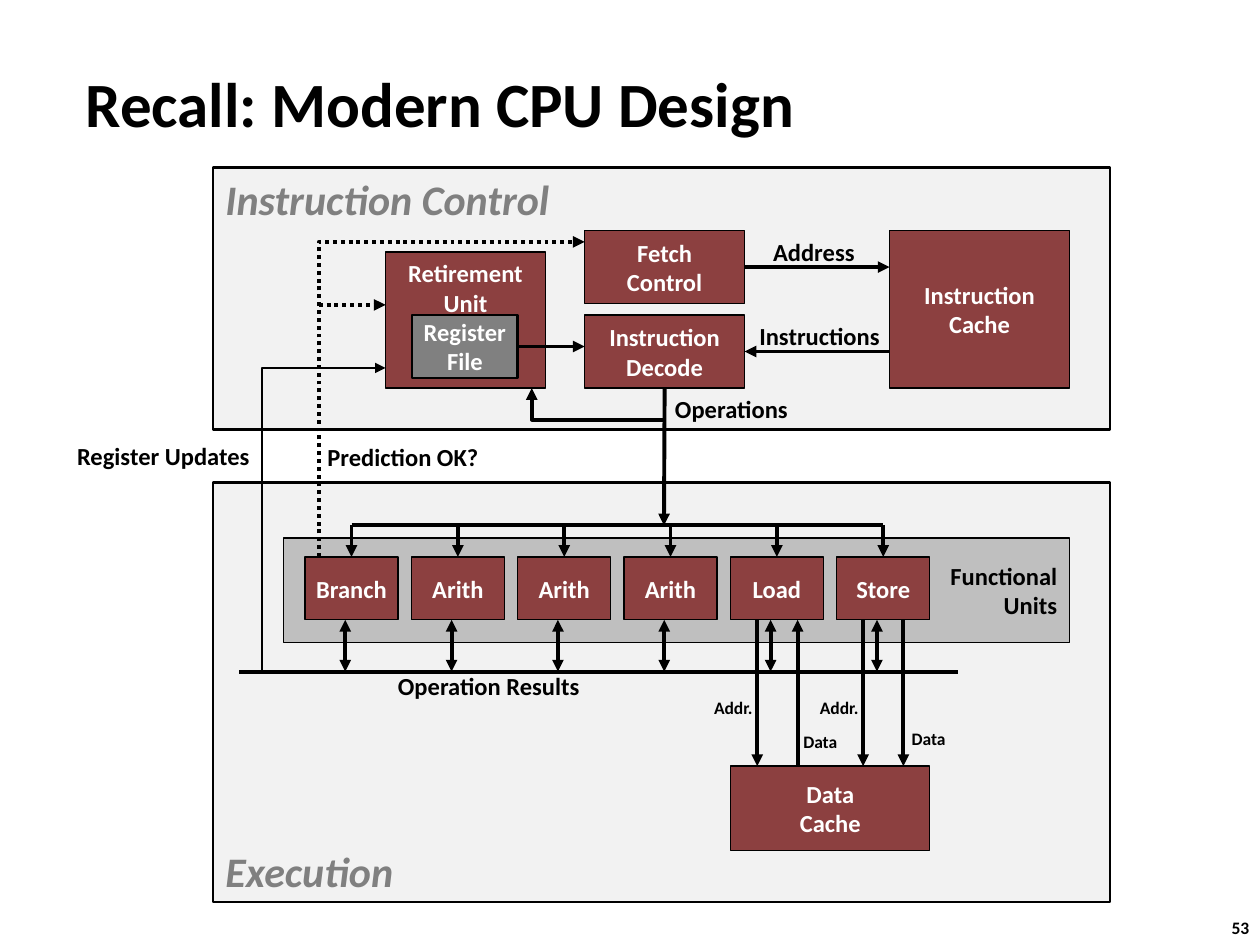
from dataclasses import dataclass
from lxml.etree import SubElement
from pptx import Presentation
from pptx.dml.color import RGBColor
from pptx.enum.dml import MSO_LINE
from pptx.enum.shapes import MSO_CONNECTOR, MSO_SHAPE
from pptx.enum.text import MSO_ANCHOR, MSO_AUTO_SIZE, PP_ALIGN
from pptx.oxml.ns import qn
from pptx.util import Inches, Pt


@dataclass(frozen=True)
class Theme:
    font: str = "Calibri"
    black: RGBColor = RGBColor(0, 0, 0)
    white: RGBColor = RGBColor(255, 255, 255)
    panel: RGBColor = RGBColor(0xF2, 0xF2, 0xF2)
    band: RGBColor = RGBColor(0xBF, 0xBF, 0xBF)
    gray: RGBColor = RGBColor(0x80, 0x80, 0x80)
    red: RGBColor = RGBColor(0x8C, 0x40, 0x40)
    title: int = 36
    head: int = 24
    body: int = 14
    small: int = 10


look = Theme()
deck = Presentation()
deck.slide_width, deck.slide_height = Inches(10), Inches(7.5)
slide = deck.slides.add_slide(deck.slide_layouts[5])
shapes = slide.shapes


def box(text, at, fill=None, ink=look.white, size=look.body, align=PP_ALIGN.CENTER,
        anchor=MSO_ANCHOR.MIDDLE, edge=0.75, wrap=False, italic=None):
    """Add a filled block, or a bare label when there is no fill."""
    place = [Inches(v) for v in at]
    if fill is None:
        shape = shapes.add_textbox(*place)
        shape.text_frame.auto_size = MSO_AUTO_SIZE.SHAPE_TO_FIT_TEXT
    else:
        shape = shapes.add_shape(MSO_SHAPE.RECTANGLE, *place)
        shape.shadow.inherit = False
        shape.fill.solid()
        shape.fill.fore_color.rgb = fill
        shape.line.color.rgb = look.black
        shape.line.width = Pt(edge)
    frame = shape.text_frame
    frame.text = text
    frame.word_wrap = wrap
    frame.vertical_anchor = anchor
    for para in frame.paragraphs:
        para.alignment = align
        font = para.font
        font.name, font.size = look.font, Pt(size)
        font.bold, font.italic = True, italic
        font.color.rgb = ink
    return shape


def wire(points, ends=("tailEnd",), width=2.25, dash=None):
    """Draw a straight connector, or an open path when there are bends."""
    spots = [(Inches(x), Inches(y)) for x, y in points]
    if len(spots) == 2:
        line = shapes.add_connector(MSO_CONNECTOR.STRAIGHT, *spots[0], *spots[1])
        SubElement(line._element.spPr, qn("a:effectLst"))
    else:
        path = shapes.build_freeform(*spots[0])
        path.add_line_segments(spots[1:], close=False)
        line = path.convert_to_shape()
        line.fill.background()
        line.shadow.inherit = False
    line.line.color.rgb = look.black
    line.line.width = Pt(width)
    if dash:
        line.line.dash_style = dash
    for end in ends:
        SubElement(line.line._get_or_add_ln(), qn(f"a:{end}"), type="triangle")
    return line


# Title
title = shapes.title
title.left, title.top = Inches(0.58), Inches(0.5)
title.width, title.height = Inches(6.41), Inches(0.63)
title.text_frame.text = "Recall: Modern CPU Design"
title.text_frame.vertical_anchor = MSO_ANCHOR.MIDDLE
para = title.text_frame.paragraphs[0]
para.alignment = PP_ALIGN.LEFT
para.font.name, para.font.size, para.font.bold = look.font, Pt(look.title), True
para.font.color.rgb = look.black

# Panels
for text, top, height, anchor in [
    ("Execution", 3.83, 3.33, MSO_ANCHOR.BOTTOM),
    ("Instruction Control", 1.33, 2.08, MSO_ANCHOR.TOP),
]:
    box(text, (1.69, top, 7.12, height), look.panel, look.gray, look.head,
        PP_ALIGN.LEFT, anchor, edge=1.5, wrap=True, italic=True)
box("Functional\nUnits", (2.25, 4.27, 6.24, 0.83), look.band, look.black,
    align=PP_ALIGN.RIGHT, wrap=True)

# Control blocks and data cache
cache = box("Instruction\nCache", (7.06, 1.83, 1.43, 1.25), look.red)
fetch = box("Fetch\nControl", (4.64, 1.83, 1.27, 0.58), look.red)
decode = box("Instruction\nDecode", (4.64, 2.5, 1.27, 0.58), look.red)
box("Retirement\nUnit", (3.06, 2, 1.27, 1.08), look.red, anchor=MSO_ANCHOR.TOP)
file = box("Register\nFile", (3.27, 2.5, 0.84, 0.5), look.gray, edge=1.5)
box("Data\nCache", (5.8, 6.08, 1.58, 0.67), look.red)

# Functional units, fed from one bus and drained to another
units = ["Branch", "Arith", "Arith", "Arith", "Load", "Store"]
first, last, wide = 2.42, 6.64, 0.74
step = (last - first) / (len(units) - 1)
for i, name in enumerate(units):
    left = first + i * step
    mid = left + wide / 2
    unit = box(name, (left, 4.42, wide, 0.5), look.red)
    wire([(mid, 4.17), (mid, 4.42)]).end_connect(unit, 0)
    wire([(mid - 0.05, 4.92), (mid - 0.05, 5.33)], ("headEnd", "tailEnd"))
wire([(first + wide / 2, 4.17), (last + wide / 2, 4.17)], ())
wire([(1.9, 5.33), (7.6, 5.33)], ())

# Straight links
wire([(5.91, 2.12), (7.06, 2.12)]).begin_connect(fetch, 3)
wire([(7.06, 2.79), (5.91, 2.79)]).end_connect(decode, 3)
wire([(4.11, 2.75), (4.64, 2.75)]).begin_connect(file, 3)
wire([(5.27, 3.08), (5.27, 4.17)]).begin_connect(decode, 2)
for x, start, stop in [(6.01, 4.92, 6.08), (6.33, 6.08, 4.92),
                       (6.85, 4.92, 6.08), (7.17, 4.92, 6.08)]:
    wire([(x, start), (x, stop)])

# Feedback paths
wire([(2.53, 4.42), (2.53, 1.92), (4.64, 1.92)], dash=MSO_LINE.ROUND_DOT)
wire([(2.53, 2.42), (3.06, 2.42)], dash=MSO_LINE.ROUND_DOT)
wire([(2.08, 5.33), (2.08, 2.92), (3.06, 2.92)], width=1.5)
wire([(5.27, 3.33), (4.22, 3.33), (4.22, 3.08)])

# Labels
for text, left, top, width, align in [
    ("Address", 6.03, 1.83, 0.86, PP_ALIGN.CENTER),
    ("Instructions", 5.92, 2.5, 1.17, PP_ALIGN.CENTER),
    ("Operations", 5.25, 3.08, 1.11, PP_ALIGN.CENTER),
    ("Prediction OK?", 2.5, 3.46, 1.41, PP_ALIGN.LEFT),
    ("Operation Results", 3.06, 5.28, 1.66, PP_ALIGN.LEFT),
    ("Register Updates", 0.5, 3.45, 1.58, PP_ALIGN.RIGHT),
]:
    box(text, (left, top, width, 0.34), ink=look.black, align=align,
        anchor=MSO_ANCHOR.TOP)
for text, left, top, width in [
    ("Data", 7.13, 5.73, 0.48), ("Data", 6.27, 5.75, 0.48),
    ("Addr.", 5.56, 5.48, 0.52), ("Addr.", 6.4, 5.48, 0.52),
    ("53", 9.66, 7.23, 0.37),
]:
    box(text, (left, top, width, 0.27), ink=look.black, size=look.small,
        anchor=MSO_ANCHOR.TOP)

deck.save("out.pptx")
